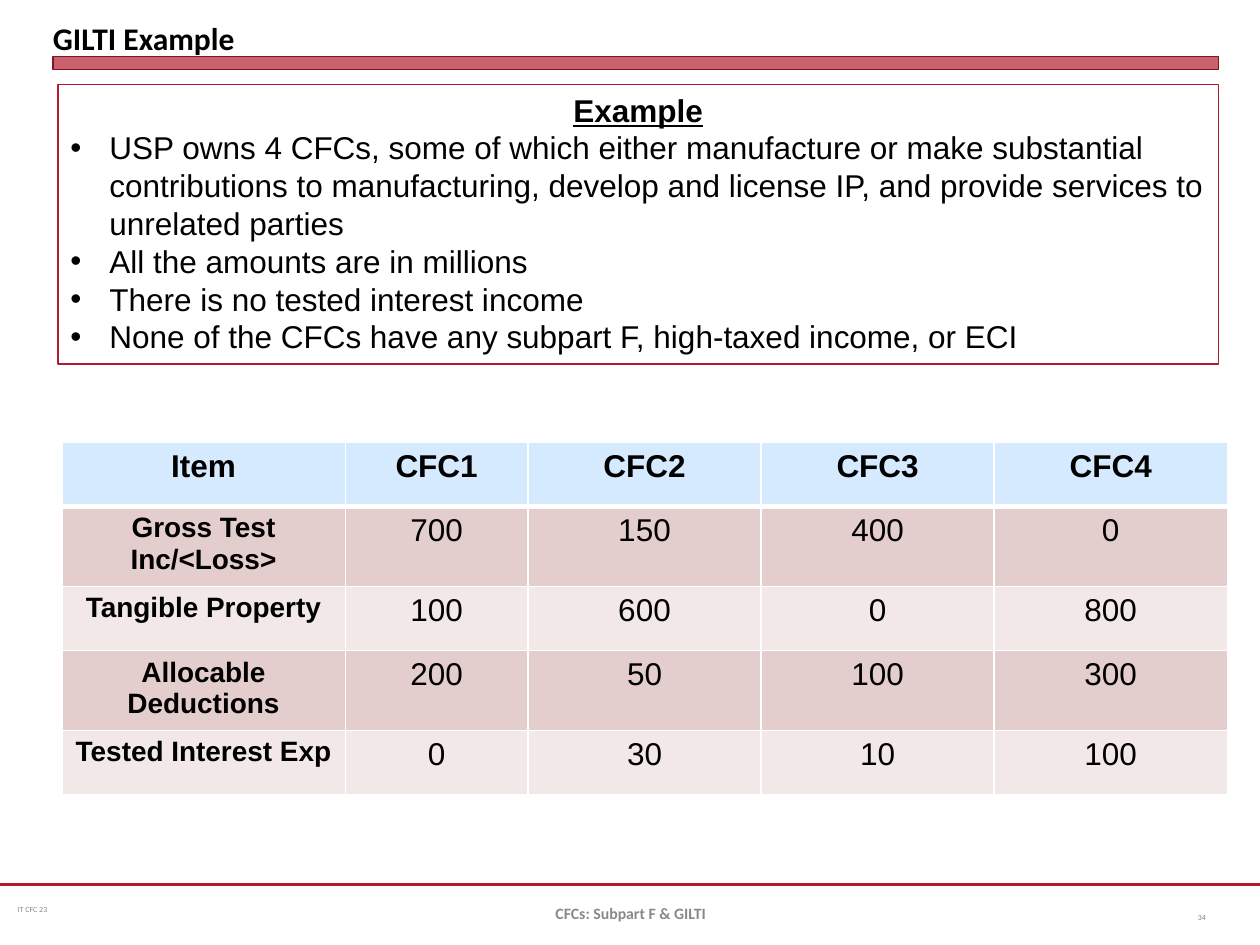
from dataclasses import dataclass

from lxml.etree import SubElement as Sub
from pptx import Presentation
from pptx.dml.color import RGBColor as RGB
from pptx.enum.shapes import MSO_CONNECTOR as Conn, MSO_SHAPE as Shape
from pptx.enum.text import MSO_ANCHOR as Anchor, PP_ALIGN as Align
from pptx.oxml.ns import qn
from pptx.util import Inches, Pt


@dataclass(frozen=True)
class Theme:
    # Colours
    red: str = "B01C2E"
    edge: str = "821522"
    black: str = "000000"
    white: str = "FFFFFF"
    gray: str = "898989"
    num: str = "808080"
    head: str = "D6EAFF"
    bands: tuple = ("E4CDCD", "F2E8E8")
    # Fonts and sizes
    body: str = "Arial"
    title: str = "Calibri"
    big: float = 18
    label: float = 16
    foot: float = 9
    tiny: float = 4.5


class Deck:
    def __init__(self, theme):
        self.theme = theme
        self.prs = Presentation()
        self.prs.slide_width, self.prs.slide_height = Inches(10), Inches(7.5)
        self.slide = self.prs.slides.add_slide(self.prs.slide_layouts[6])
        self.shapes = self.slide.shapes

    def run(self, para, text, size, font, color, bold=False, under=False):
        run = para.add_run()
        run.text = text
        style = run.font
        style.size, style.name = Pt(size), font
        style.bold, style.underline = bold, under
        style.color.rgb = RGB.from_string(color)

    def rule(self, x1, y1, x2, y2, color, width):
        line = self.shapes.add_connector(
            Conn.STRAIGHT, Inches(x1), Inches(y1), Inches(x2), Inches(y2))
        line.line.color.rgb = RGB.from_string(color)
        line.line.width = Pt(width)
        Sub(line._element.spPr, qn("a:effectLst"))

    def rect(self, at, line, width, fill=None, alpha=100):
        box = self.shapes.add_shape(Shape.RECTANGLE, *map(Inches, at))
        box.shadow.inherit = False
        box.line.color.rgb = RGB.from_string(line)
        box.line.width = Pt(width)
        if fill:
            box.fill.solid()
            box.fill.fore_color.rgb = RGB.from_string(fill)
            clr = box._element.spPr.find(".//" + qn("a:srgbClr"))
            Sub(clr, qn("a:alpha"), val=str(alpha * 1000))
        else:
            box.fill.background()
        return box

    def text(self, at, text, size, color, bold=False, align=Align.LEFT,
             anchor=Anchor.MIDDLE, pad=(0.1, 0.05)):
        frame = self.shapes.add_textbox(*map(Inches, at)).text_frame
        frame.word_wrap = True
        frame.vertical_anchor = anchor
        frame.margin_left = frame.margin_right = Inches(pad[0])
        frame.margin_top = frame.margin_bottom = Inches(pad[1])
        para = frame.paragraphs[0]
        para.alignment = align
        self.run(para, text, size, self.theme.title, color, bold)

    def panel(self, at, head, items):
        t = self.theme
        frame = self.rect(at, t.red, 0.75).text_frame
        frame.word_wrap = True
        frame.vertical_anchor = Anchor.TOP
        para = frame.paragraphs[0]
        para.alignment = Align.CENTER
        self.run(para, head, t.big, t.body, t.black, bold=True, under=True)
        for item in items:
            para = frame.add_paragraph()
            para.alignment = Align.LEFT
            props = para._p.get_or_add_pPr()
            props.set("marL", str(Inches(0.31)))
            props.set("indent", str(Inches(-0.31)))
            Sub(props, qn("a:buFont"), typeface=t.body)
            Sub(props, qn("a:buChar"), char="•")
            self.run(para, item, t.big, t.body, t.black)

    def border(self, cell, top, bottom):
        props = cell._tc.get_or_add_tcPr()
        for side, width in zip("LRTB", (1, 1, top, bottom)):
            line = Sub(props, qn("a:ln" + side), w=str(Pt(width)))
            fill = Sub(line, qn("a:solidFill"))
            Sub(fill, qn("a:srgbClr"), val=self.theme.white)

    def table(self, x, y, widths, height, rows):
        t = self.theme
        grid = self.shapes.add_table(
            len(rows), len(widths), Inches(x), Inches(y),
            Inches(sum(widths)), Inches(height * len(rows))).table
        for col, width in zip(grid.columns, widths):
            col.width = Inches(width)
        for r, row in enumerate(rows):
            grid.rows[r].height = Inches(height)
            color = t.bands[(r - 1) % 2] if r else t.head
            for c, value in enumerate(row):
                cell = grid.cell(r, c)
                self.border(cell, 3 if r == 1 else 1, 3 if r == 0 else 1)
                cell.fill.solid()
                cell.fill.fore_color.rgb = RGB.from_string(color)
                para = cell.text_frame.paragraphs[0]
                para.alignment = Align.CENTER
                size = t.label if r and c == 0 else t.big
                self.run(para, value, size, t.body, t.black,
                         bold=r == 0 or c == 0)


def main():
    t = Theme()
    deck = Deck(t)

    # Title and bar
    deck.rect((0.42, 0.45, 9.25, 0.1), t.edge, 0, t.red, 69)
    deck.text((0.42, 0.05, 9.25, 0.4), "GILTI Example", t.big, t.black,
              bold=True, anchor=Anchor.BOTTOM, pad=(0, 0))

    # Facts
    deck.panel((0.46, 0.67, 9.21, 2.22), "Example", [
        "USP owns 4 CFCs, some of which either manufacture or make "
        "substantial contributions to manufacturing, develop and license "
        "IP, and provide services to unrelated parties",
        "All the amounts are in millions",
        "There is no tested interest income",
        "None of the CFCs have any subpart F, high-taxed income, or ECI",
    ])

    # Amounts
    deck.table(0.49, 3.51, [2.25, 1.45] + [1.85] * 3, 0.51, [
        ("Item", "CFC1", "CFC2", "CFC3", "CFC4"),
        ("Gross Test Inc/<Loss>", "700", "150", "400", "0"),
        ("Tangible Property", "100", "600", "0", "800"),
        ("Allocable Deductions", "200", "50", "100", "300"),
        ("Tested Interest Exp", "0", "30", "10", "100"),
    ])

    # Footer
    deck.rule(0, 7.02, 10, 7.02, t.red, 1.25)
    deck.text((0.08, 7.02, 2.58, 0.4), "IT CFC 23", t.tiny, t.gray,
              pad=(0.06, 0.03))
    deck.text((3.42, 7.05, 3.17, 0.4), "CFCs: Subpart F & GILTI", t.foot,
              t.gray, bold=True, align=Align.CENTER)
    deck.text((9.17, 7.08, 0.5, 0.4), "34", t.tiny, t.num, align=Align.RIGHT)

    deck.prs.save("out.pptx")


if __name__ == "__main__":
    main()
